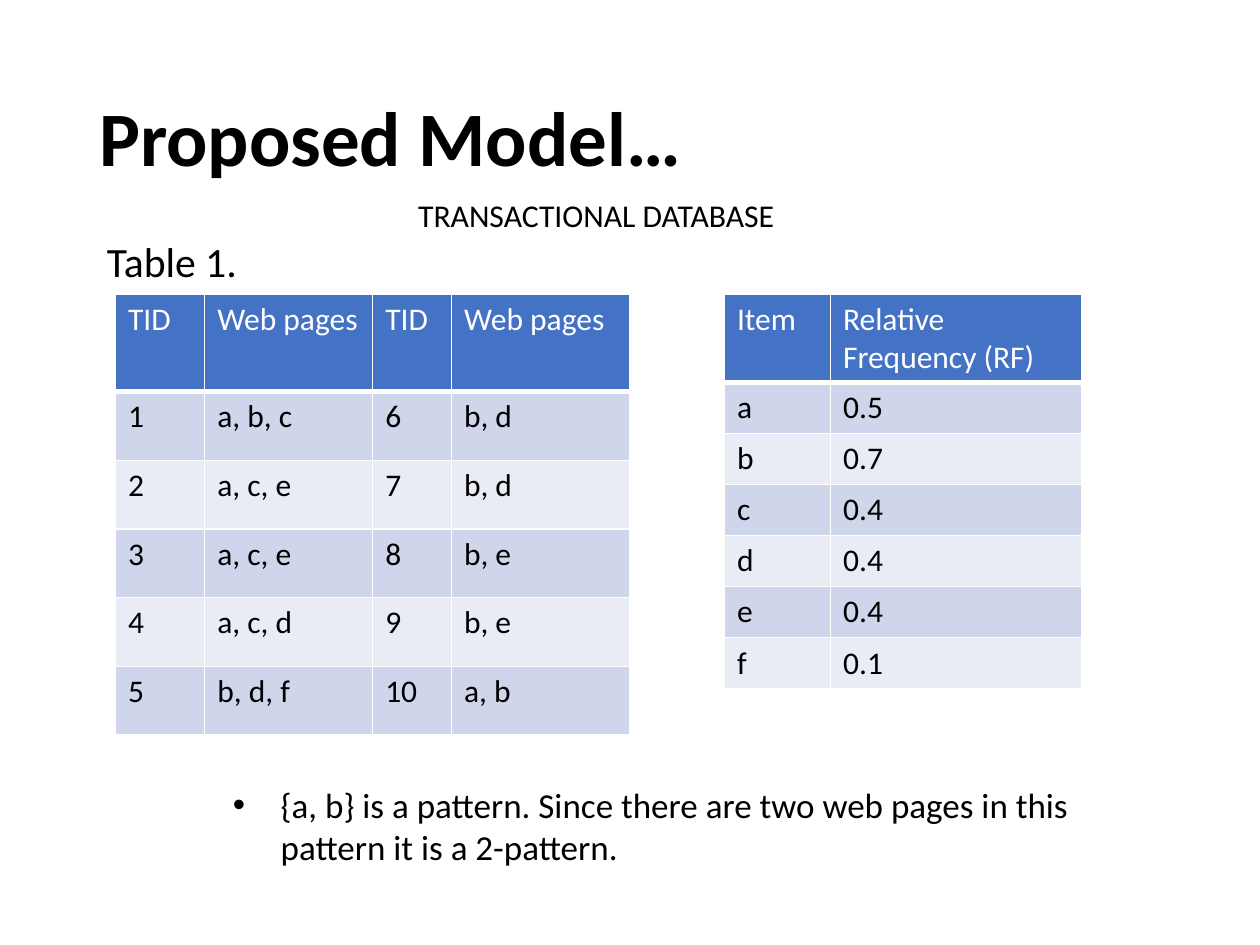
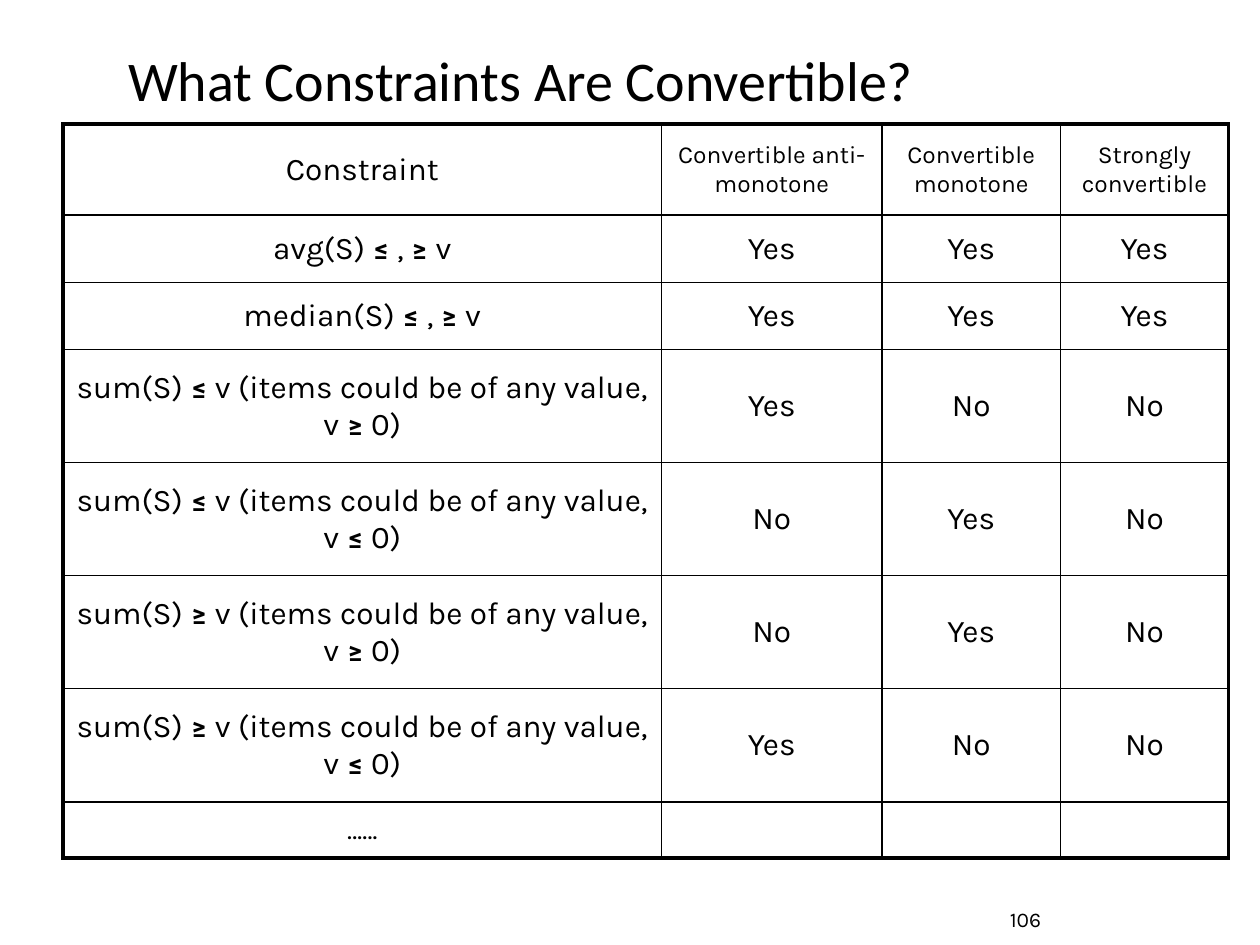
from itertools import groupby

from lxml import etree
from pptx import Presentation
from pptx.dml.color import RGBColor
from pptx.enum.text import MSO_ANCHOR, MSO_AUTO_SIZE, PP_ALIGN
from pptx.oxml.ns import qn
from pptx.util import Inches, Pt

TOP, MIDDLE = MSO_ANCHOR.TOP, MSO_ANCHOR.MIDDLE
LEFT, CENTER = PP_ALIGN.LEFT, PP_ALIGN.CENTER
NO_FIT = MSO_AUTO_SIZE.NONE

BLACK, WHITE = "000000", "FFFFFF"
HEADER_BLUE, BAND_DARK, BAND_LIGHT = "4472C4", "CFD5EA", "E9EBF5"
BODY_FONT, GRID_FONT = "Calibri", "Karla"

deck = Presentation()
deck.slide_width, deck.slide_height = Inches(10), Inches(7.5)
UNIT = deck.slide_width / 120


def add_run(paragraph, text, size, font=BODY_FONT, color=BLACK, bold=False):
    run = paragraph.add_run()
    run.text = text
    run.font.size = Pt(size)
    run.font.name = font
    run.font.bold = bold
    run.font.color.rgb = RGBColor.from_string(color)


def add_grid(slide, left, top, columns, rows, texts, font, line, outer, under_header,
             fills=None, align=LEFT, anchor=TOP):
    box = [int(v * UNIT) for v in (left, top, sum(columns), sum(rows))]
    table = slide.shapes.add_table(len(rows), len(columns), *box).table
    table.first_row = table.horz_banding = False
    for column, width in zip(table.columns, columns):
        column.width = int(width * UNIT)
    for row, height in zip(table.rows, rows):
        row.height = int(height * UNIT)
    for r, row_texts in enumerate(texts):
        for c, text in enumerate(row_texts):
            cell = table.cell(r, c)
            cell.vertical_anchor = anchor
            paragraph = cell.text_frame.paragraphs[0]
            paragraph.alignment = align
            color = WHITE if fills and r == 0 else BLACK
            for is_sign, part in groupby(text, lambda letter: letter in "≤≥"):
                add_run(paragraph, "".join(part), 18, font, color, is_sign)
            bottom = outer if r == len(rows) - 1 else under_header if r == 0 else 1
            widths = {
                "a:lnL": outer if c == 0 else 1,
                "a:lnR": outer if c == len(columns) - 1 else 1,
                "a:lnT": outer if r == 0 else 1,
                "a:lnB": bottom,
            }
            properties = cell._tc.get_or_add_tcPr()
            for side, width in widths.items():
                border = etree.SubElement(properties, qn(side), w=str(Pt(width)))
                solid = etree.SubElement(border, qn("a:solidFill"))
                etree.SubElement(solid, qn("a:srgbClr"), val=line)
            if fills:
                cell.fill.solid()
                fill = fills[0] if r == 0 else fills[2 - r % 2]
                cell.fill.fore_color.rgb = RGBColor.from_string(fill)
            else:
                cell.fill.background()
    return table


slides = []
for heading, size, bold, box in [
    ("Proposed Model…", 44, True, (8.25, 4.8, 103.5, 17.4)),
    ("What Constraints Are Convertible?", 32, False, (11, 4, 96.2, 7.8)),
]:
    slide = deck.slides.add_slide(deck.slide_layouts[5])
    title = slide.shapes.title
    title.left, title.top, title.width, title.height = [int(v * UNIT) for v in box]
    title.text_frame.auto_size = NO_FIT
    title.text_frame.vertical_anchor = MIDDLE
    paragraph = title.text_frame.paragraphs[0]
    paragraph.alignment = LEFT
    paragraph.line_spacing = 0.9
    add_run(paragraph, heading, size, bold=bold)
    slides.append(slide)
model, constraints = slides

frames = []
for slide, box, anchor in [
    (model, (6, 19, 108, 9), TOP),
    (model, (21, 74, 83, 12), TOP),
    (constraints, (95, 85, 25, 5), MIDDLE),
]:
    frame = slide.shapes.add_textbox(*[int(v * UNIT) for v in box]).text_frame
    frame.word_wrap = True
    frame.vertical_anchor = anchor
    frames.append(frame)
captions, note, page_number = frames

captions.add_paragraph()
for paragraph, text, size, indent in zip(
    captions.paragraphs, ["TRANSACTIONAL DATABASE", "Table 1."], [18.1, 23.8], [2.72, 0.25]
):
    paragraph.line_spacing = 0.7
    paragraph.space_before = Pt(10)
    paragraph._p.get_or_add_pPr().set("marL", str(Inches(indent)))
    add_run(paragraph, text, size)

bullet = note.paragraphs[0]
add_run(bullet, "{a, b} is a pattern. Since there are two web pages in this pattern it is a 2-pattern.", 20)
bullet_format = bullet._p.get_or_add_pPr()
bullet_format.set("marL", str(Inches(0.38)))
bullet_format.set("indent", str(-Inches(0.38)))
etree.SubElement(bullet_format, qn("a:buFont"), typeface="Arial")
etree.SubElement(bullet_format, qn("a:buChar"), char="•")

add_run(page_number.paragraphs[0], "106", 12, GRID_FONT)

visits = ["a, b, c", "a, c, e", "a, c, e", "a, c, d", "b, d, f",
          "b, d", "b, d", "b, e", "b, e", "a, b"]
transactions = [["TID", "Web pages"] * 2]
for i in range(5):
    transactions.append([str(i + 1), visits[i], str(i + 6), visits[i + 5]])
frequencies = [["Item", "Relative Frequency (RF)"]]
frequencies += zip("abcdef", ["0.5", "0.7", "0.4", "0.4", "0.4", "0.1"])

for left, columns, rows, texts in [
    (11, [8.5, 16, 7.5, 17], [9.3] + [6.54] * 5, transactions),
    (69, [10.1, 23.9], [8.4] + [4.87] * 6, frequencies),
]:
    add_grid(model, left, 28, columns, rows, texts, BODY_FONT, WHITE, 1, 3,
             fills=(HEADER_BLUE, BAND_DARK, BAND_LIGHT))

convertibility = [["Constraint", "Convertible anti-monotone", "Convertible monotone", "Strongly convertible"]]
for measure in ["avg", "median"]:
    convertibility.append([f"{measure}(S) ≤ , ≥ v"] + ["Yes"] * 3)
for sign, bound, anti_monotone, monotone in [
    ("≤", "≥", "Yes", "No"),
    ("≤", "≤", "No", "Yes"),
    ("≥", "≥", "No", "Yes"),
    ("≥", "≤", "Yes", "No"),
]:
    condition = f"sum(S) {sign} v (items could be of any value, v {bound} 0)"
    convertibility.append([condition, anti_monotone, monotone, "No"])
convertibility.append(["……", "", "", ""])

overview = add_grid(constraints, 6, 11.8, [57, 21, 17, 16],
                    [8.7, 6.4, 6.4] + [10.77] * 4 + [5.35],
                    convertibility, GRID_FONT, BLACK, 2.25, 1, align=CENTER, anchor=MIDDLE)
for r, c, size in [(0, 1, 14), (0, 2, 14), (0, 3, 14), (7, 0, 16)]:
    overview.cell(r, c).text_frame.paragraphs[0].runs[0].font.size = Pt(size)

deck.save("out.pptx")
